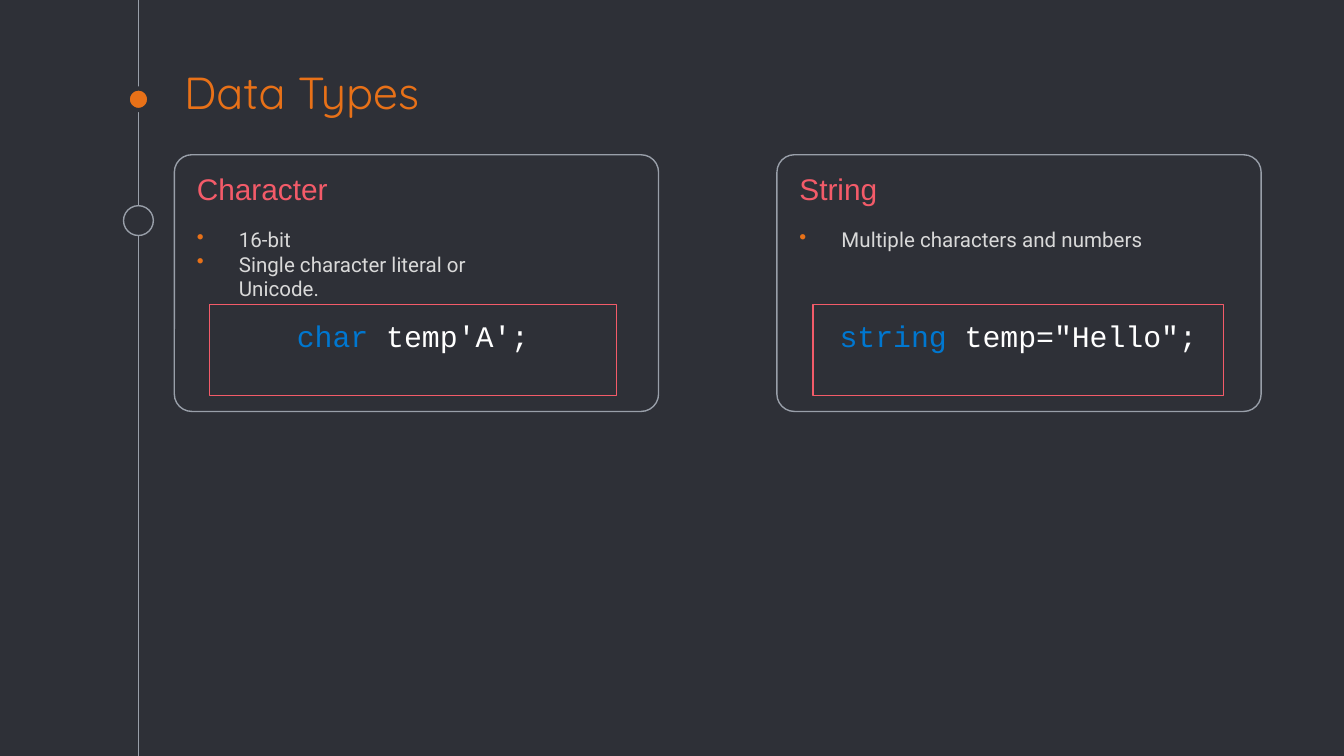
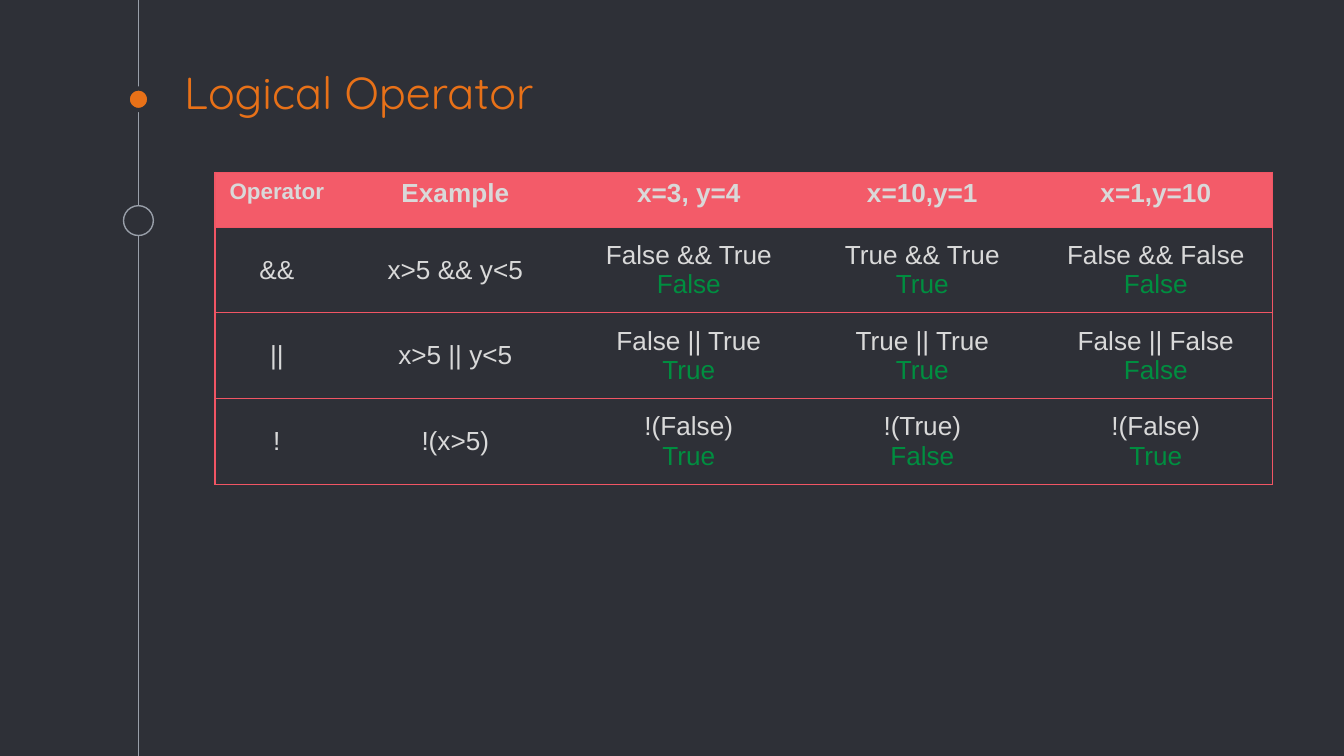
from dataclasses import dataclass

import pptx
import pptx.dml.color
import pptx.enum.shapes
import pptx.enum.text
import pptx.oxml
import pptx.oxml.ns
import pptx.util
from lxml import etree

Pt = pptx.util.Pt
SHAPE = pptx.enum.shapes.MSO_SHAPE
ALIGN = pptx.enum.text.PP_ALIGN
ANCHOR = pptx.enum.text.MSO_ANCHOR
qn = pptx.oxml.ns.qn


@dataclass(frozen=True)
class Theme:
    """Colours, fonts and type sizes shared by the slides."""
    background: str = "2E3037"
    orange: str = "E87118"
    grey: str = "999FA9"
    coral: str = "F35B69"
    table_line: str = "F15564"
    text: str = "D9D9D9"
    white: str = "FFFFFF"
    keyword: str = "0077D0"
    result: str = "008E40"
    title_font: str = "Quicksand"
    body_font: str = "Roboto"
    plain_font: str = "Arial"
    code_font: str = "Courier New"
    title_size: float = 24
    heading_size: float = 16
    body_size: float = 11
    table_size: float = 14
    small_size: float = 12
    line: float = 0.75


THEME = Theme()
RAIL_X = 74.2


def rgb(color):
    """Turn a hex string into a colour."""
    return pptx.dml.color.RGBColor.from_string(color)


def style(r, font, size, color, bold=False):
    """Format one run."""
    r.font.name = font
    r.font.size = Pt(size)
    r.font.color.rgb = rgb(color)
    r.font.bold = bold


def set_insets(tf, x, y):
    """Set equal side insets and equal top and bottom insets."""
    tf.margin_left = tf.margin_right = Pt(x)
    tf.margin_top = tf.margin_bottom = Pt(y)


def add_outline(s, kind, x, y, w, h, line, width=THEME.line, fill=None):
    """Add a flat preset shape, hollow unless a fill is given."""
    sp = s.shapes.add_shape(kind, Pt(x), Pt(y), Pt(w), Pt(h))
    sp.shadow.inherit = False
    if fill:
        sp.fill.solid()
        sp.fill.fore_color.rgb = rgb(fill)
    else:
        sp.fill.background()
    sp.line.color.rgb = rgb(line)
    sp.line.width = Pt(width)
    return sp


def add_marker(s, y, size, fill, line, width):
    """Add a circle centred on the rail."""
    add_outline(s, SHAPE.OVAL, RAIL_X - size / 2, y - size / 2, size, size, line, width, fill)


def add_rail(s, height):
    """Add the vertical rail with its two markers."""
    rail = s.shapes.add_connector(pptx.enum.shapes.MSO_CONNECTOR.STRAIGHT,
                                  Pt(RAIL_X), 0, Pt(RAIL_X), height)
    rail.line.color.rgb = rgb(THEME.grey)
    rail.line.width = Pt(THEME.line)
    etree.SubElement(rail._element.spPr, qn("a:effectLst"))
    add_marker(s, 53.2, 11.5, THEME.orange, THEME.background, 2.25)
    add_marker(s, 118.2, 16, THEME.background, THEME.grey, THEME.line)


def add_slide(prs, title, width):
    """Add a slide with the rail and a formatted title."""
    s = prs.slides.add_slide(prs.slide_layouts[5])
    add_rail(s, prs.slide_height)
    sp = s.shapes.title
    sp.left, sp.top, sp.width, sp.height = Pt(91.5), Pt(43.2), Pt(width), Pt(27.4)
    tf = sp.text_frame
    tf.text = title
    tf.word_wrap = True
    tf.auto_size = pptx.enum.text.MSO_AUTO_SIZE.NONE
    tf.vertical_anchor = ANCHOR.BOTTOM
    set_insets(tf, 7.2, 7.2)
    p = tf.paragraphs[0]
    p.alignment = ALIGN.LEFT
    style(p.runs[0], THEME.title_font, THEME.title_size, THEME.orange)
    return s


def add_text(s, x, y, w, h, text):
    """Add a wrapping text box and return its frame."""
    tf = s.shapes.add_textbox(Pt(x), Pt(y), Pt(w), Pt(h)).text_frame
    tf.word_wrap = True
    tf.text = text
    return tf


def add_bullet(p, indent):
    """Give a paragraph a coloured bullet with a hanging indent."""
    pPr = p._p.get_or_add_pPr()
    pPr.set("marL", str(Pt(indent)))
    pPr.set("indent", str(-Pt(indent)))
    color = etree.SubElement(pPr, qn("a:buClr"))
    etree.SubElement(color, qn("a:srgbClr"), val=THEME.orange)
    etree.SubElement(pPr, qn("a:buChar"), char="•")


def add_code(s, x, y, w, keyword, rest):
    """Add a framed line of code with a coloured keyword."""
    tf = add_outline(s, SHAPE.RECTANGLE, x, y, w, 49, THEME.coral).text_frame
    tf.word_wrap = True
    tf.vertical_anchor = ANCHOR.TOP
    set_insets(tf, 7.2, 7.2)
    p = tf.paragraphs[0]
    p.alignment = ALIGN.CENTER
    for text, color in ((keyword, THEME.keyword), (rest, THEME.white)):
        r = p.add_run()
        r.text = text
        style(r, THEME.code_font, THEME.heading_size, color)


def add_type_card(s, x, heading, bullets, body_width, keyword, rest, code_x, code_width):
    """Add a rounded card describing one data type."""
    top = 82.9
    card = add_outline(s, SHAPE.ROUNDED_RECTANGLE, x, top, 259.4, 137.5, THEME.grey)
    card.adjustments[0] = 0.068
    tf = add_text(s, x + 5, top + 5, 120, 26.6, heading)
    style(tf.paragraphs[0].runs[0], THEME.plain_font, THEME.heading_size, THEME.coral)
    tf = add_text(s, x + 5, top + 35.2, body_width, 47.5, "\n".join(bullets))
    for p in tf.paragraphs:
        add_bullet(p, 22.5)
        style(p.runs[0], THEME.body_font, THEME.body_size, THEME.text)
    add_code(s, code_x, top + 80.1, code_width, keyword, rest)


def set_borders(cell, visible):
    """Draw the named sides of a cell and hide the others."""
    tcPr = cell._tc.get_or_add_tcPr()
    for side in "LRTB":
        ln = etree.SubElement(tcPr, qn(f"a:ln{side}"), w=str(Pt(THEME.line)))
        if side in visible:
            fill = etree.SubElement(ln, qn("a:solidFill"))
            etree.SubElement(fill, qn("a:srgbClr"), val=THEME.table_line)
        else:
            etree.SubElement(ln, qn("a:noFill"))


def format_cell(cell, text, header, size):
    """Fill a cell with centred text; a second line is a result."""
    cell.text_frame.text = text
    if header:
        cell.fill.solid()
        cell.fill.fore_color.rgb = rgb(THEME.coral)
        set_insets(cell, 7.2, 3.6)
    else:
        cell.fill.background()
        cell.vertical_anchor = ANCHOR.MIDDLE
        set_insets(cell, 14.4, 7.2)
    for p, color in zip(cell.text_frame.paragraphs, (THEME.text, THEME.result)):
        p.alignment = ALIGN.CENTER
        style(p.runs[0], THEME.plain_font, size, color, header)


def add_operator_table(s, x, y, rows, widths, heights):
    """Add a table with a filled header and horizontal rules."""
    frame = s.shapes.add_table(len(rows), len(widths), Pt(x), Pt(y),
                               Pt(sum(widths)), Pt(sum(heights)))
    table = frame.table
    table.horz_banding = False
    for column, width in zip(table.columns, widths):
        column.width = Pt(width)
    for i, (row, height) in enumerate(zip(rows, heights)):
        table.rows[i].height = Pt(height)
        for j, text in enumerate(row):
            cell = table.cell(i, j)
            sides = "TB" + "L" * (j == 0) + "R" * (j == len(row) - 1)
            set_borders(cell, sides)
            size = THEME.small_size if i == j == 0 else THEME.table_size
            format_cell(cell, text, i == 0, size)


def build_data_types(prs):
    """Build the slide on character and string types."""
    s = add_slide(prs, "Data Types", 540)
    add_type_card(s, 93.4, "Character", ["16-bit", "Single character literal or Unicode."],
                  202.3, "char", " temp'A';", 112.2, 218.2)
    add_type_card(s, 416.2, "String", ["Multiple characters and numbers"],
                  248.4, "string", ' temp="Hello";', 435.6, 219.9)


def build_logical_operator(prs):
    """Build the slide with the truth table."""
    s = add_slide(prs, "Logical Operator", 622.8)
    rows = [
        ["Operator", "Example", "x=3, y=4", "x=10,y=1", "x=1,y=10"],
        ["&&", "x>5 && y<5", "False && True\nFalse", "True && True\nTrue",
         "False && False\nFalse"],
        ["||", "x>5 || y<5", "False || True\nTrue", "True || True\nTrue",
         "False || False\nFalse"],
        ["!", "!(x>5)", "!(False)\nTrue", "!(True)\nFalse", "!(False)\nTrue"],
    ]
    add_operator_table(s, 115.2, 92.2, rows, [66.2] + [125.1] * 4, [29.5] + [45.9] * 3)


def main():
    """Build and save the presentation."""
    prs = pptx.Presentation()
    prs.slide_width, prs.slide_height = Pt(720), Pt(405)
    fill = prs.slide_master.background.fill
    fill.solid()
    fill.fore_color.rgb = rgb(THEME.background)
    build_data_types(prs)
    build_logical_operator(prs)
    prs.save("out.pptx")


if __name__ == "__main__":
    main()
